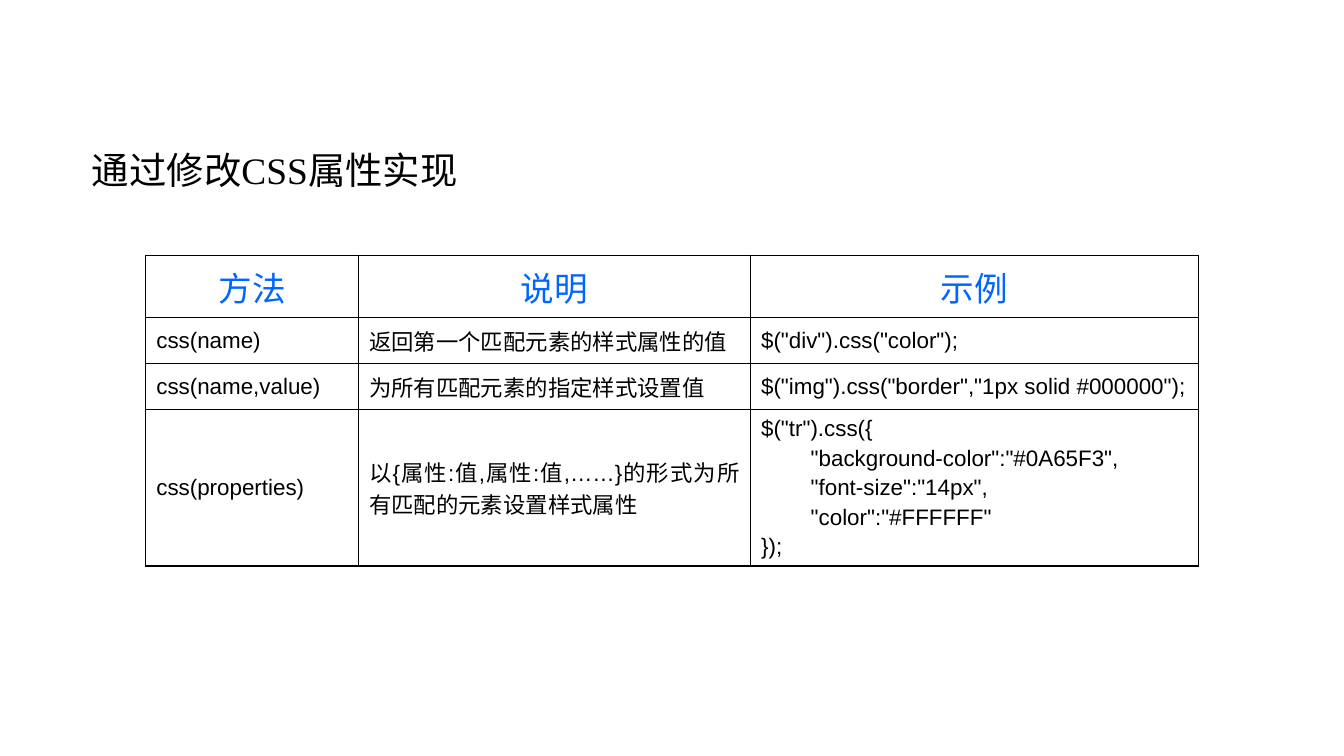
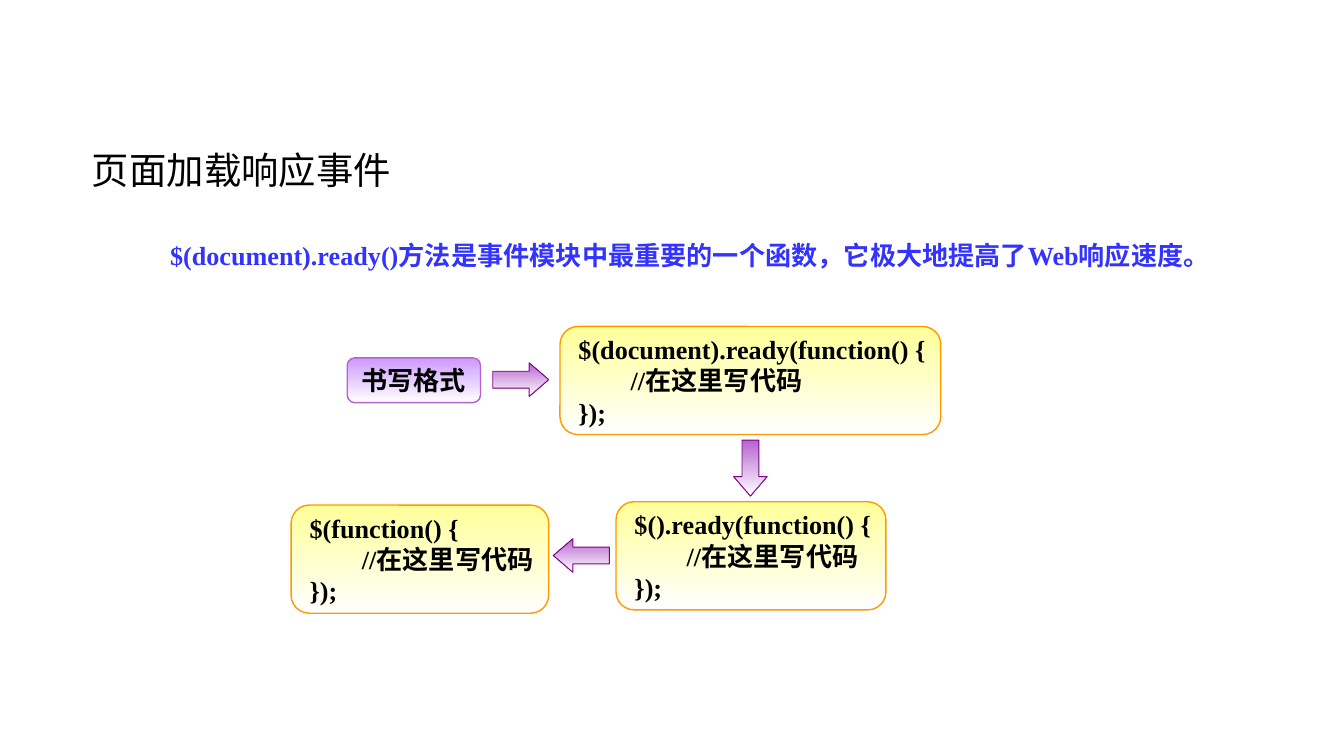
from lxml import etree
from pptx import Presentation
from pptx import util as u
from pptx.dml.color import RGBColor
from pptx.enum import shapes, text
from pptx.oxml.ns import qn

COLORS = {
    "ink": "000000", "header": "0066FF", "lead": "3333FF", "white": "FFFFFF",
    "code_fill": "FFFF99", "code_line": "FF9900",
    "label_fill": "CC99FF", "purple": "B563CF", "arrow_line": "800080",
}
SERIF, SANS = "Times New Roman", "Arial"
GRID = u.Inches(1) / 12
COLUMN_WIDTHS = [19, 35, 40]
ROW_HEIGHTS = [5, 4, 4, 13.6]
OUTER, INNER = 0.75, 0.45
HEADERS = ["方法", "说明", "示例"]
METHODS = [
    ["css(name)", "返回第一个匹配元素的样式属性的值", '$("div").css("color");'],
    ["css(name,value)", "为所有匹配元素的指定样式设置值",
     '$("img").css("border","1px solid #000000");'],
    ["css(properties)", "以{属性:值,属性:值,……}的形式为所有匹配的元素设置样式属性",
     '$("tr").css({\n        "background-color":"#0A65F3",\n'
     '        "font-size":"14px",\n        "color":"#FFFFFF"\n});'],
]


def cells(*lengths):
    return [u.Emu(round(length * GRID)) for length in lengths]


def rgb(name):
    return RGBColor.from_string(COLORS[name])


def write(frame, content, size, color="ink", font=SERIF, bold=False,
          align=text.PP_ALIGN.LEFT, gap=0):
    for index, line in enumerate(content.split("\n")):
        para = frame.add_paragraph() if index else frame.paragraphs[0]
        para.alignment = align
        para.space_before = u.Pt(gap if index else 0)
        para.space_after = u.Pt(gap)
        span = para.add_run()
        span.text = line
        span.font.size = u.Pt(size)
        span.font.name = font
        span.font.bold = bold
        span.font.color.rgb = rgb(color)


def add_page(deck, title):
    page = deck.slides.add_slide(deck.slide_layouts[5])
    box = page.shapes.title
    box.left, box.top, box.width, box.height = cells(7, 12.5, 44, 5.3)
    frame = box.text_frame
    frame.auto_size = text.MSO_AUTO_SIZE.NONE
    frame.vertical_anchor = text.MSO_ANCHOR.TOP
    write(frame, title, 20)
    return page


def set_borders(cell, widths):
    properties = cell._tc.get_or_add_tcPr()
    for index, (side, width) in enumerate(zip(("lnL", "lnR", "lnT", "lnB"), widths)):
        line = etree.Element(qn(f"a:{side}"), w=str(u.Pt(width)))
        fill = etree.SubElement(line, qn("a:solidFill"))
        etree.SubElement(fill, qn("a:srgbClr"), val=COLORS["ink"])
        properties.insert(index, line)


def add_method_table(page, left, top):
    rows = [HEADERS] + METHODS
    area = cells(left, top, sum(COLUMN_WIDTHS), sum(ROW_HEIGHTS))
    table = page.shapes.add_table(len(rows), len(HEADERS), *area).table
    table.first_row = table.horz_banding = False
    for column, width in zip(table.columns, cells(*COLUMN_WIDTHS)):
        column.width = width
    for row, height in zip(table.rows, cells(*ROW_HEIGHTS)):
        row.height = height
    last_row, last_column = len(rows) - 1, len(HEADERS) - 1
    for r, row in enumerate(rows):
        for c, content in enumerate(row):
            cell = table.cell(r, c)
            cell.fill.background()
            cell.vertical_anchor = text.MSO_ANCHOR.MIDDLE
            edges = (c == 0, c == last_column, r == 0, r == last_row)
            set_borders(cell, [OUTER if edge else INNER for edge in edges])
            if r == 0:
                write(cell.text_frame, content, 18, "header", SANS,
                      align=text.PP_ALIGN.CENTER)
            else:
                cell.margin_left = cell.margin_right = u.Inches(0.08)
                write(cell.text_frame, content, 12, font=SANS,
                      align=text.PP_ALIGN.JUSTIFY, gap=1.2)


def add_gradient_shape(page, kind, area, fill, line, weight, angle=90):
    box = page.shapes.add_shape(kind, *cells(*area))
    box.shadow.inherit = False
    box.fill.gradient()
    box.fill.gradient_angle = (360 - angle) % 360
    for stop, name in zip(box.fill.gradient_stops, (fill, "white")):
        stop.color.rgb = rgb(name)
    box.line.color.rgb = rgb(line)
    box.line.width = u.Pt(weight)
    return box


def add_rounded_box(page, area, content, fill, line, align=text.PP_ALIGN.LEFT):
    box = add_gradient_shape(page, shapes.MSO_SHAPE.ROUNDED_RECTANGLE, area,
                             fill, line, 0.75)
    frame = box.text_frame
    frame.word_wrap = False
    frame.vertical_anchor = text.MSO_ANCHOR.MIDDLE
    write(frame, content, 14, bold=True, align=align)


def add_code_box(page, area, opening):
    add_rounded_box(page, area, f"{opening}(function() {{\n        //在这里写代码\n}});",
                    "code_fill", "code_line")


def add_flow_arrow(page, left, top, rotation, angle):
    arrow = add_gradient_shape(page, shapes.MSO_SHAPE.RIGHT_ARROW, (left, top, 5, 3),
                               "purple", "arrow_line", 0.5, angle)
    arrow.adjustments[1] = 0.58
    arrow.rotation = rotation


def add_lead(page, area, content):
    frame = page.shapes.add_textbox(*cells(*area)).text_frame
    frame.word_wrap = True
    write(frame, content, 14, "lead", bold=True)


def main():
    deck = Presentation()
    deck.slide_width, deck.slide_height = cells(120, 67.5)

    page = add_page(deck, "通过修改CSS属性实现")
    add_method_table(page, 13, 22.8)

    page = add_page(deck, "页面加载响应事件")
    add_code_box(page, (50, 29.15, 34, 9.65), "$(document).ready")
    add_rounded_box(page, (31, 31.95, 11.9, 4), "书写格式", "label_fill", "purple",
                    text.PP_ALIGN.CENTER)
    add_code_box(page, (55, 44.8, 24.1, 9.65), "$().ready")
    add_code_box(page, (26, 45.1, 23, 9.65), "$")
    for left, top, rotation, angle in ((44, 32.4, 0, 90), (64.5, 40.3, 90, 0),
                                       (49.4, 48.1, 180, 270)):
        add_flow_arrow(page, left, top, rotation, angle)
    add_lead(page, (14, 20.8, 94, 6.8),
             "$(document).ready()方法是事件模块中最重要的一个函数，它极大地提高了Web响应速度。")

    deck.save("out.pptx")


if __name__ == "__main__":
    main()
